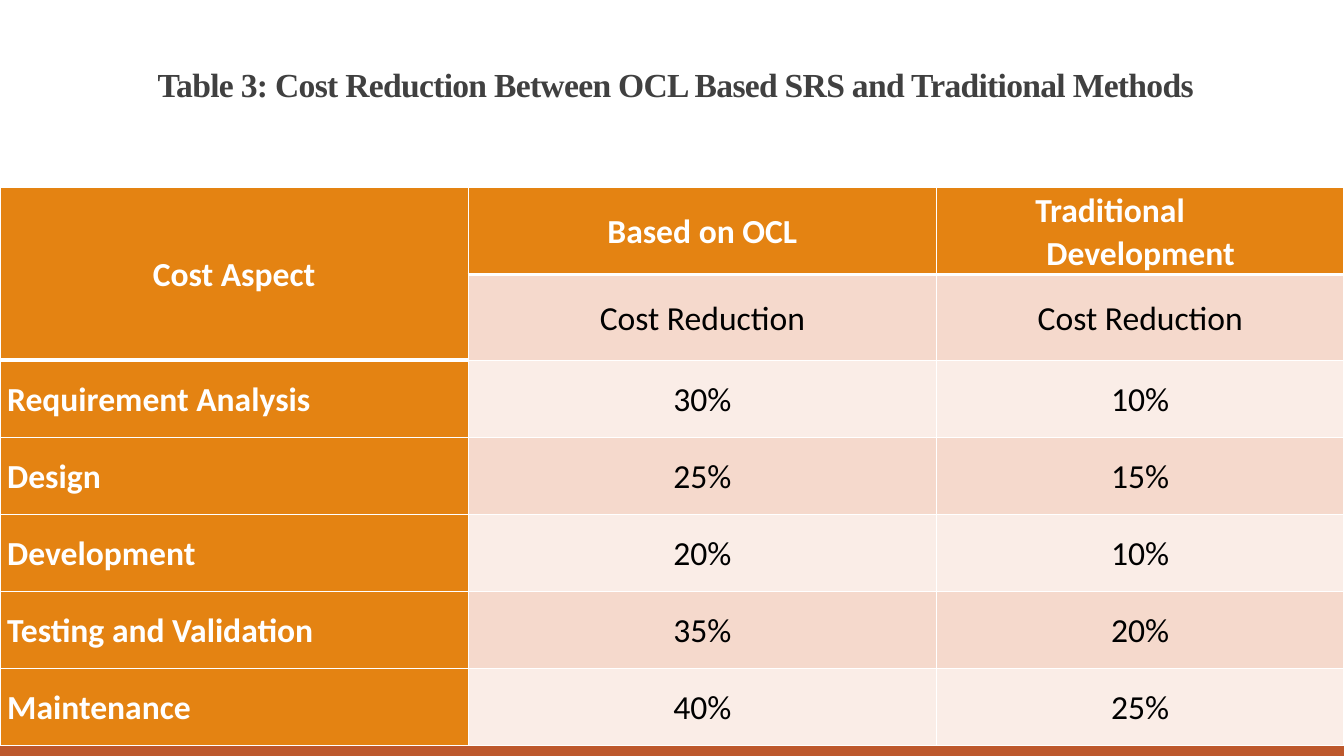
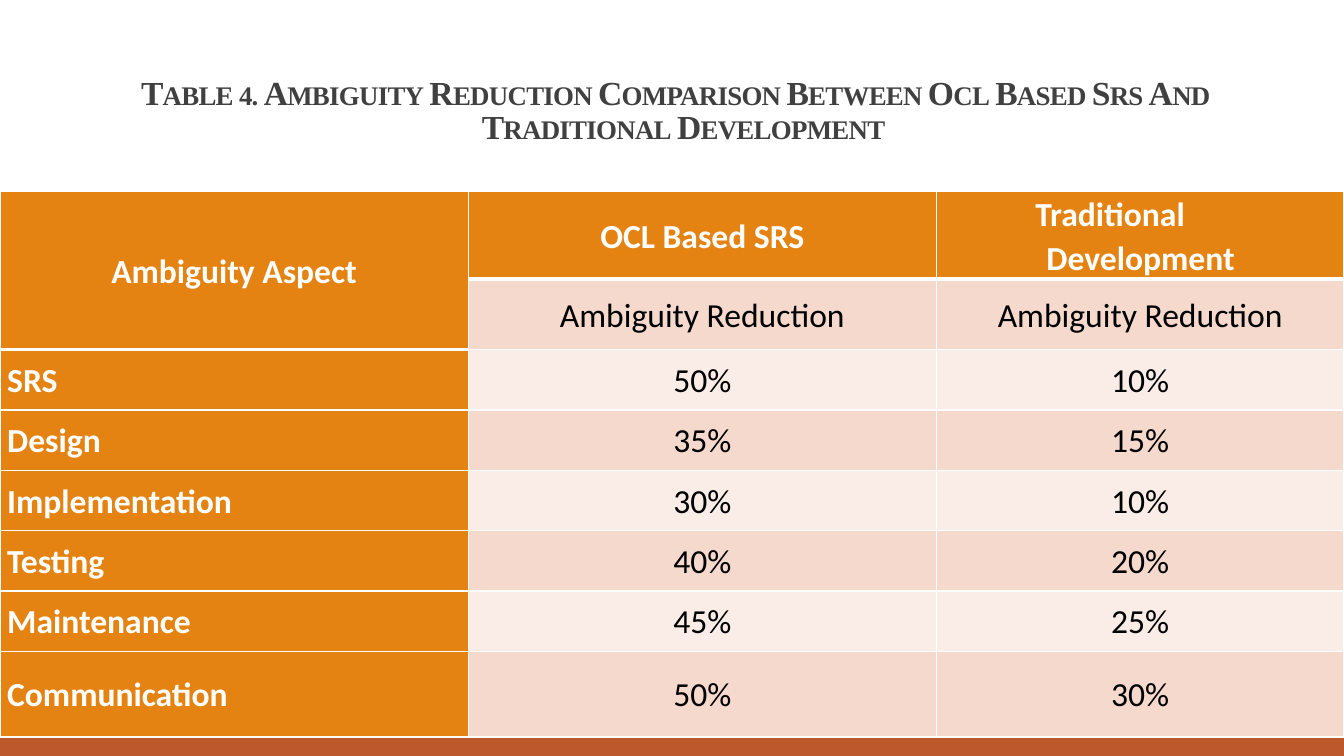
"""Build two slides that compare OCL based SRS with traditional development in tables."""
from lxml import etree
from pptx import Presentation
from pptx import util as u
from pptx.dml.color import RGBColor
from pptx.enum import shapes, text
from pptx.oxml.ns import qn

COLORS = {
    "title": "404040", "footer": "BD582C", "header": "E48312",
    "band_dark": "F5D9CC", "band_light": "FAEDE7",
    "white": "FFFFFF", "black": "000000",
}
SLIDE_WIDTH, SLIDE_HEIGHT = u.Cm(33.87), u.Cm(19.05)
FOOTER_HEIGHT = u.Cm(1.27)
COLUMN_WIDTHS = (11.8, 11.8, 10.27)
HEADER_HEIGHT = 2.2
TRADITIONAL = "Traditional Development"

COST_ROWS = [
    ("Cost Aspect", "Based on OCL", TRADITIONAL),
    ("", "Cost Reduction", "Cost Reduction"),
    ("Requirement Analysis", "30%", "10%"),
    ("Design", "25%", "15%"),
    ("Development", "20%", "10%"),
    ("Testing and Validation", "35%", "20%"),
    ("Maintenance", "40%", "25%"),
]
AMBIGUITY_ROWS = [
    ("Ambiguity Aspect", "OCL Based SRS", TRADITIONAL),
    ("", "Ambiguity Reduction", "Ambiguity Reduction"),
    ("SRS", "50%", "10%"),
    ("Design", "35%", "15%"),
    ("Implementation", "30%", "10%"),
    ("Testing", "40%", "20%"),
    ("Maintenance", "45%", "25%"),
    ("Communication", "50%", "30%"),
]


def color(name):
    return RGBColor.from_string(COLORS[name])


def format_paragraph(paragraph, font_name, color_name, bold, alignment, spacing):
    paragraph.alignment = alignment
    paragraph.line_spacing = spacing
    for run in paragraph.runs:
        run.font.name = font_name
        run.font.size = u.Pt(24)
        run.font.bold = bold
        run.font.color.rgb = color(color_name)


def add_footer(slide):
    shape = slide.shapes.add_shape(
        shapes.MSO_SHAPE.RECTANGLE, 0, SLIDE_HEIGHT - FOOTER_HEIGHT,
        SLIDE_WIDTH, FOOTER_HEIGHT)
    shape.shadow.inherit = False
    shape.fill.solid()
    shape.fill.fore_color.rgb = color("footer")
    shape.line.fill.background()


def add_title(slide, title, height, small_caps):
    shape = slide.shapes.add_textbox(u.Cm(3.05), u.Cm(0.79), u.Cm(27.94), u.Cm(height))
    frame = shape.text_frame
    frame.word_wrap = True
    frame.vertical_anchor = text.MSO_ANCHOR.BOTTOM
    frame.text = title
    paragraph = frame.paragraphs[0]
    format_paragraph(paragraph, "Times New Roman", "title", True,
                     text.PP_ALIGN.CENTER, 0.85)
    for run in paragraph.runs:
        properties = run.font._element
        properties.set("spc", "-50")
        if small_caps:
            properties.set("cap", "small")


def set_border(cell, side, points):
    properties = cell._tc.get_or_add_tcPr()
    line = etree.SubElement(properties, qn(f"a:ln{side}"), w=str(u.Pt(points)))
    fill = etree.SubElement(line, qn("a:solidFill"))
    etree.SubElement(fill, qn("a:srgbClr"), val=COLORS["white"])


def hang_first_line(paragraph):
    paragraph.alignment = text.PP_ALIGN.LEFT
    properties = paragraph._p.get_or_add_pPr()
    properties.set("marL", str(u.Cm(2.59)))
    properties.set("indent", str(u.Cm(-0.28)))


def format_cell(cell, label, row, column):
    header_end = 2 if column == 0 else 1
    is_header = column == 0 or row == 0
    for side in "LRTB":
        heavy = (side == "T" and row == header_end) or (side == "B" and row < header_end)
        set_border(cell, side, 3 if heavy else 1)
    cell.fill.solid()
    band = "band_dark" if row % 2 else "band_light"
    cell.fill.fore_color.rgb = color("header" if is_header else band)
    cell.margin_left = cell.margin_right = u.Cm(0.18)
    cell.margin_top = cell.margin_bottom = 0
    cell.vertical_anchor = text.MSO_ANCHOR.MIDDLE
    cell.text = label
    paragraph = cell.text_frame.paragraphs[0]
    is_row_label = column == 0 and row >= header_end
    format_paragraph(
        paragraph, "Calibri", "white" if is_header else "black", is_header,
        text.PP_ALIGN.JUSTIFY if is_row_label else text.PP_ALIGN.CENTER, 1.07)
    if label == TRADITIONAL:
        hang_first_line(paragraph)


def add_comparison_table(slide, rows, top, row_heights):
    table = slide.shapes.add_table(
        len(rows), len(COLUMN_WIDTHS), 0, u.Cm(top),
        SLIDE_WIDTH, u.Cm(sum(row_heights))).table
    table.horz_banding = False
    for column, width in zip(table.columns, COLUMN_WIDTHS):
        column.width = u.Cm(width)
    for table_row, height in zip(table.rows, row_heights):
        table_row.height = u.Cm(height)
    for row, labels in enumerate(rows):
        for column, label in enumerate(labels):
            format_cell(table.cell(row, column), label, row, column)
    table.cell(0, 0).merge(table.cell(1, 0))


def add_comparison_slide(presentation, title, title_height, small_caps,
                         rows, top, row_heights):
    slide = presentation.slides.add_slide(presentation.slide_layouts[6])
    add_footer(slide)
    add_title(slide, title, title_height, small_caps)
    add_comparison_table(slide, rows, top, row_heights)


def main():
    presentation = Presentation()
    presentation.slide_width = SLIDE_WIDTH
    presentation.slide_height = SLIDE_HEIGHT
    add_comparison_slide(
        presentation,
        "Table 3: Cost Reduction Between OCL Based SRS and Traditional Methods",
        1.96, False, COST_ROWS, 4.72, [HEADER_HEIGHT, 2.16] + [1.94] * 5)
    add_comparison_slide(
        presentation,
        "Table 4. Ambiguity Reduction Comparison Between Ocl Based Srs And "
        "Traditional Development",
        3.02, True, AMBIGUITY_ROWS, 4.83,
        [HEADER_HEIGHT, 1.78] + [1.52] * 5 + [2.16])
    presentation.save("out.pptx")


if __name__ == "__main__":
    main()
